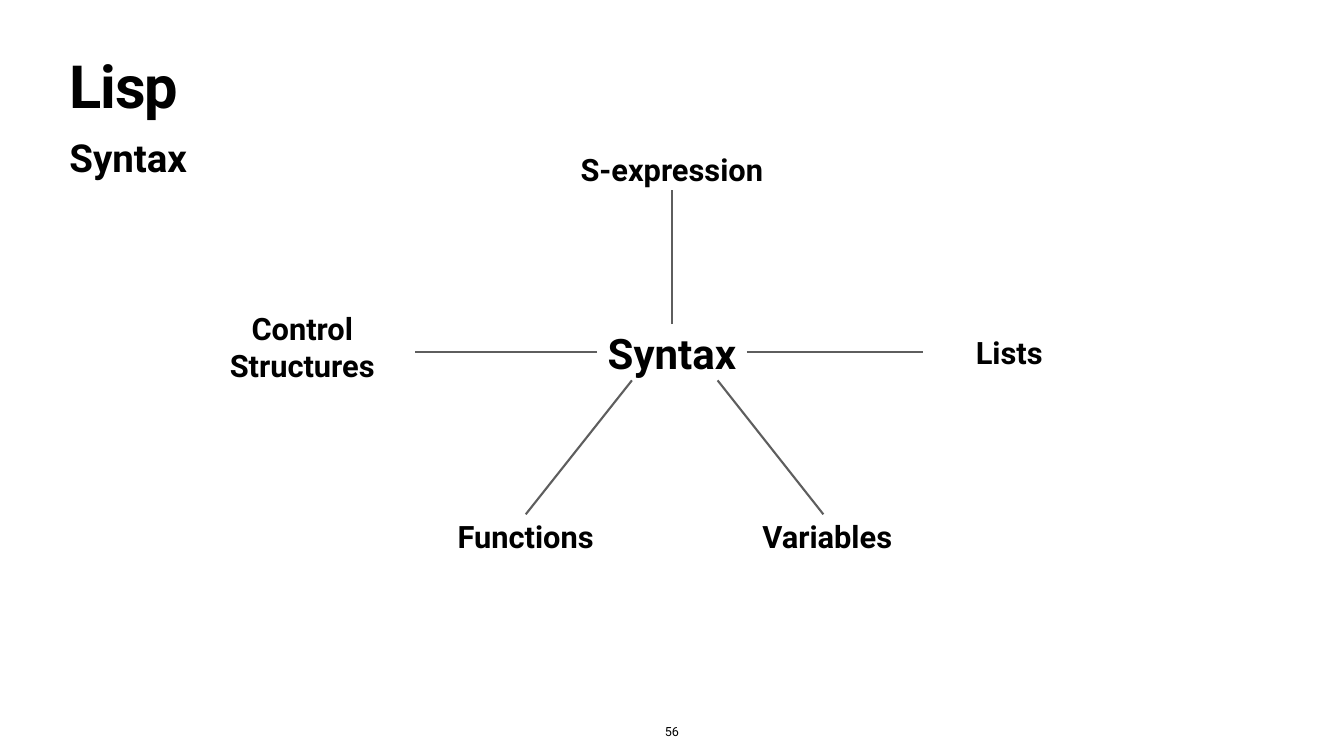
from dataclasses import dataclass
from pptx import Presentation
from pptx.dml.color import RGBColor
from pptx.enum.shapes import MSO_CONNECTOR
from pptx.enum.text import MSO_ANCHOR, PP_ALIGN
from pptx.oxml.ns import qn
from pptx.util import Cm, Pt
from lxml.etree import SubElement


@dataclass(frozen=True)
class Theme:
    font: str = "Roboto"
    ink: RGBColor = RGBColor(0, 0, 0)
    rule: RGBColor = RGBColor(0x5E, 0x5E, 0x5E)
    rule_width: float = 3
    title: float = 85
    subtitle: float = 55
    hub: float = 60
    branch: float = 44
    number: float = 18
    inset: float = 0.15


THEME = Theme()
PAGE_WIDTH, PAGE_HEIGHT = 67.74, 38.1


def add_text(page, box, text, size, bold=True, align=PP_ALIGN.CENTER,
             anchor=MSO_ANCHOR.MIDDLE, wrap=True):
    frame = page.shapes.add_textbox(*map(Cm, box)).text_frame
    frame.word_wrap = wrap
    frame.vertical_anchor = anchor
    frame.margin_left = frame.margin_right = Cm(THEME.inset)
    frame.margin_top = frame.margin_bottom = Cm(THEME.inset)
    para = frame.paragraphs[0]
    para.text = text
    para.alignment = align
    para.font.name = THEME.font
    para.font.size = Pt(size)
    para.font.bold = bold
    para.font.color.rgb = THEME.ink
    return para


def add_centred_text(page, centre, extent, text, size):
    (x, y), (width, height) = centre, extent
    add_text(page, (x - width / 2, y - height / 2, width, height), text, size)


def add_line(page, start, end):
    line = page.shapes.add_connector(MSO_CONNECTOR.STRAIGHT, *map(Cm, (*start, *end)))
    line.line.color.rgb = THEME.rule
    line.line.width = Pt(THEME.rule_width)
    SubElement(line._element.spPr, qn("a:effectLst"))


def add_heading(page, box, title, subtitle):
    left, top, width, height = box
    para = add_text(page, (left, top, width, 4), title, THEME.title,
                    align=PP_ALIGN.LEFT, anchor=MSO_ANCHOR.TOP)
    para.line_spacing = 0.8
    para.runs[0]._r.get_or_add_rPr().set("spc", "-170")
    add_text(page, (left, top + 3.6, width, height - 3.6), subtitle, THEME.subtitle,
             align=PP_ALIGN.LEFT, anchor=MSO_ANCHOR.TOP)


def add_mind_map(page, box, hub, branches):
    left, top, width, height = box
    x, y = left + width / 2, top + height / 2
    add_centred_text(page, (x, y), (7.54, 2.84), hub, THEME.hub)
    for label, extent, centre, start, end in branches:
        offsets = [(x + dx, y + dy) for dx, dy in (centre, start, end)]
        add_centred_text(page, offsets[0], extent, label, THEME.branch)
        add_line(page, offsets[1], offsets[2])


def add_page_number(page, box, number):
    add_text(page, box, number, THEME.number, bold=False,
             anchor=MSO_ANCHOR.BOTTOM, wrap=False)


def main():
    deck = Presentation()
    deck.slide_width, deck.slide_height = Cm(PAGE_WIDTH), Cm(PAGE_HEIGHT)
    page = deck.slides.add_slide(deck.slide_layouts[6])
    branches = [
        ("S-expression", (11.66, 2.16), (0, -9.25), (0, -1.42), (0, -8.17)),
        ("Lists", (9.7, 2.16), (17, 0), (3.77, 0), (12.64, 0)),
        ("Variables", (10, 2.16), (7.83, 9.25), (2.3, 1.42), (7.63, 8.17)),
        ("Functions", (9.68, 2.16), (-7.37, 9.25), (-2.02, 1.42), (-7.37, 8.17)),
        ("Control Structures", (10.26, 4.04), (-18.63, -0.3), (-3.77, 0), (-12.96, 0)),
    ]
    add_heading(page, (3.35, 3, 61.04, 6.2), "Lisp", "Syntax")
    add_mind_map(page, (10, 7.42, PAGE_WIDTH - 20, 20.66), "Syntax", branches)
    add_page_number(page, (PAGE_WIDTH / 2 - 0.51, 36.35, 1.02, 1.04), "56")
    deck.save("out.pptx")


if __name__ == "__main__":
    main()
